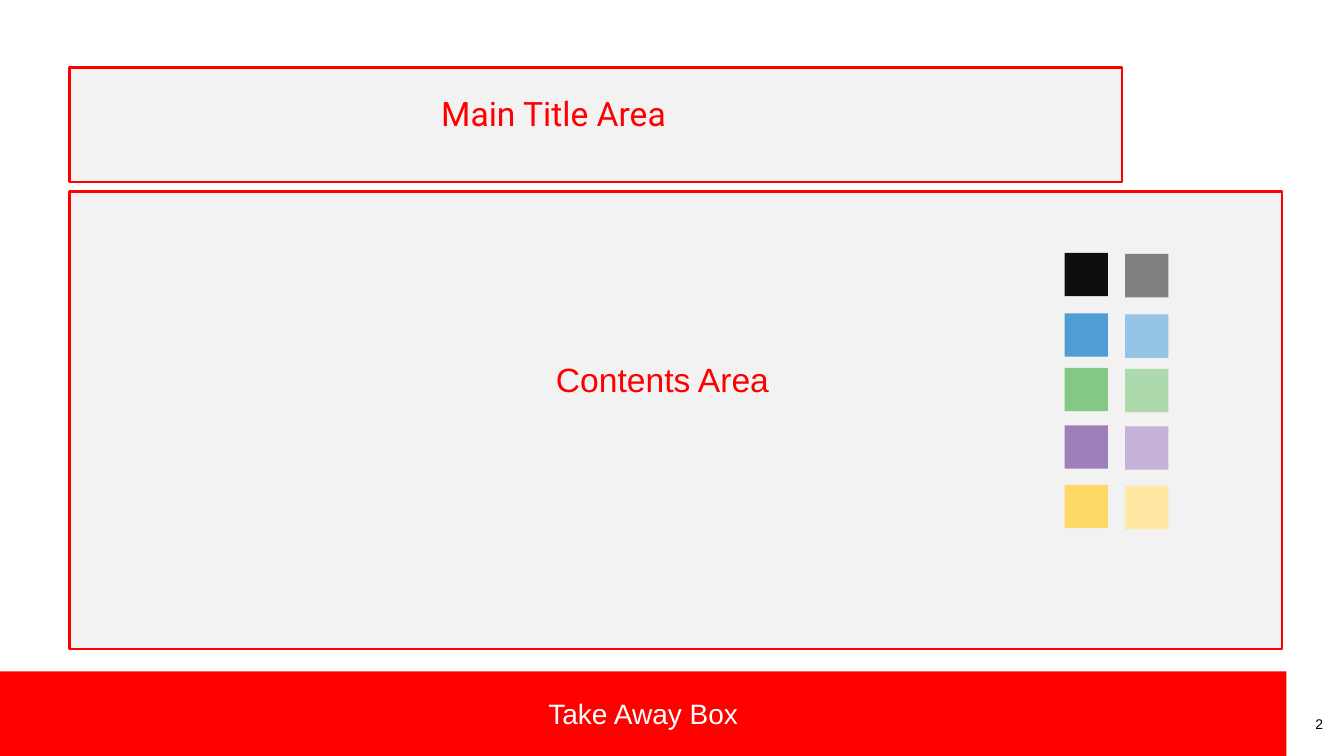
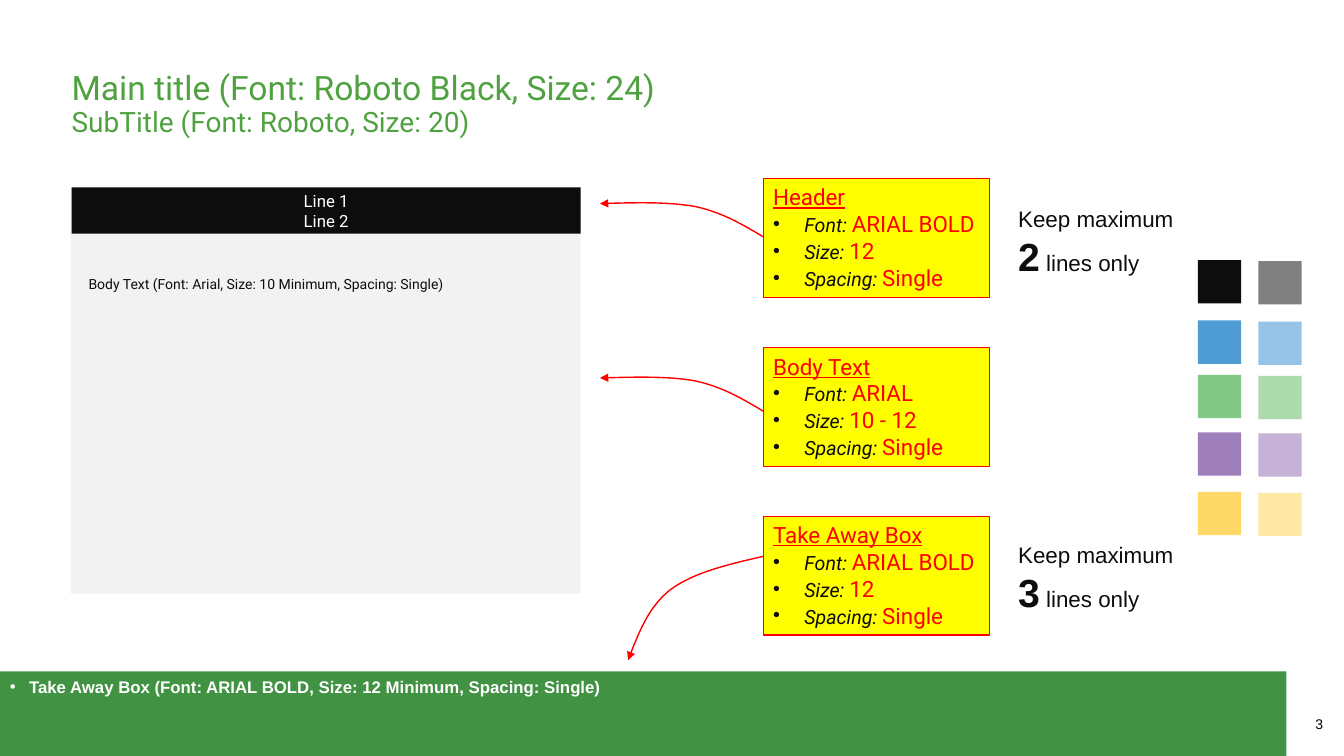
from lxml import etree
from pptx import Presentation
from pptx.dml.color import RGBColor
from pptx.enum import shapes, text
from pptx.oxml import ns
from pptx.util import Inches, Pt

# Shared colours and fonts
RED = RGBColor(0xFF, 0x00, 0x00)
YELLOW = RGBColor(0xFF, 0xFF, 0x00)
WHITE = RGBColor(0xFF, 0xFF, 0xFF)
BLACK = RGBColor(0x00, 0x00, 0x00)
INK = RGBColor(0x0D, 0x0D, 0x0D)
PANEL = RGBColor(0xF2, 0xF2, 0xF2)
TITLE_GREEN = RGBColor(0x50, 0xA2, 0x41)
BAND_GREEN = RGBColor(0x41, 0x92, 0x43)
ARIAL, ROBOTO = "Arial", "Roboto"
LEFT, CENTER, RIGHT = text.PP_ALIGN.LEFT, text.PP_ALIGN.CENTER, text.PP_ALIGN.RIGHT
TOP, MIDDLE = text.MSO_ANCHOR.TOP, text.MSO_ANCHOR.MIDDLE
DEFAULT_INSETS, TITLE_INSETS = (0.1, 0.05, 0.1, 0.05), (0, 0, 0.1, 0)

# Palette: row offset from the top, dark swatch, light swatch
PALETTE = [
    (0, "0D0D0D", "808080"),
    (0.6, "509CD5", "96C4E6"),
    (1.14, "83C885", "ACDAAD"),
    (1.71, "9F7FBA", "C5B2D6"),
    (2.3, "FFD967", "FFE8A4"),
]
SWATCH, SWATCH_STEP = 0.43, 0.6

# Style rules: top of the callout, heading, font, size, spacing
CALLOUTS = [
    (1.77, "Header", "ARIAL BOLD", "12", "Single"),
    (3.45, "Body Text", "ARIAL", "10 - 12", "Single"),
    (5.12, "Take Away Box", "ARIAL BOLD", "12", "Single"),
]
CALLOUT_LEFT, CALLOUT_WIDTH, CALLOUT_HEIGHT = 7.57, 2.24, 1.18
LIMITS = [(1.99, "2"), (5.32, "3")]

# Arrow curves: start point, then Bezier pieces relative to it
SIDE_CURVE = [
    [(-0.2, -0.12), (-0.4, -0.24), (-0.67, -0.3)],
    [(-0.94, -0.35), (-1.28, -0.34), (-1.62, -0.33)],
]
DOWN_CURVE = [
    [(-0.35, 0.08), (-0.69, 0.16), (-0.92, 0.33)],
    [(-1.14, 0.5), (-1.24, 0.77), (-1.34, 1.03)],
]
ARROWS = [(2.35, SIDE_CURVE), (4.08, SIDE_CURVE), (5.52, DOWN_CURVE)]
CURVE_STEPS = 16


def run(words, size, font, color, bold=False, italic=False, underline=False):
    return words, size, font, color, bold, italic, underline


def add_runs(paragraph, runs):
    for words, size, font, color, bold, italic, underline in runs:
        if words == "\n":
            paragraph.add_line_break()
            continue
        part = paragraph.add_run()
        part.text = words
        part.font.size, part.font.name = Pt(size), font
        part.font.color.rgb = color
        part.font.bold, part.font.italic, part.font.underline = bold, italic, underline


def add_bullet(paragraph, indent):
    props = paragraph._p.get_or_add_pPr()
    props.set("marL", str(Inches(indent)))
    props.set("indent", str(-Inches(indent)))
    etree.SubElement(props, ns.qn("a:buFont")).set("typeface", ARIAL)
    etree.SubElement(props, ns.qn("a:buChar")).set("char", "•")


def write(shape, paragraphs, align=LEFT, anchor=TOP, insets=DEFAULT_INSETS,
          spacing=None):
    """Each paragraph is a bullet indent (0 for none) and its runs."""
    frame = shape.text_frame
    frame.word_wrap = True
    frame.auto_size = text.MSO_AUTO_SIZE.NONE
    frame.vertical_anchor = anchor
    (frame.margin_left, frame.margin_top,
     frame.margin_right, frame.margin_bottom) = map(Inches, insets)
    for number, (indent, runs) in enumerate(paragraphs):
        paragraph = frame.add_paragraph() if number else frame.paragraphs[0]
        paragraph.alignment = align
        if spacing:
            paragraph.line_spacing = spacing
        if indent:
            add_bullet(paragraph, indent)
        add_runs(paragraph, runs)


def add_box(holder, at, fill, line=None, width=1.5):
    box = holder.shapes.add_shape(shapes.MSO_SHAPE.RECTANGLE, *map(Inches, at))
    box.shadow.inherit = False
    box.fill.solid()
    box.fill.fore_color.rgb = fill
    if line is None:
        box.line.fill.background()
    else:
        box.line.color.rgb, box.line.width = line, Pt(width)
    return box


def add_label(slide, at, paragraphs, **style):
    write(slide.shapes.add_textbox(*map(Inches, at)), paragraphs, **style)


def set_title(slide, at, runs, align=LEFT):
    title = slide.shapes.title
    title.left, title.top, title.width, title.height = map(Inches, at)
    write(title, [(0, runs)], align, insets=TITLE_INSETS, spacing=0.9)
    title.element.getparent().append(title.element)  # bring in front of the panels


def add_footer(slide, number, color, paragraph, align, anchor):
    band = add_box(slide, (0, 6.66, 12.76, 0.84), color)
    write(band, [paragraph], align, anchor)
    add_label(slide, (12.83, 7.05, 0.39, 0.29),
              [(0, [run(number, 10, ARIAL, BLACK)])], align=RIGHT)


def add_palette(slide, left, top):
    group = slide.shapes.add_group_shape()
    for offset, *pair in PALETTE:
        for column, color in enumerate(pair):
            add_box(group, (left + column * SWATCH_STEP, top + offset + column * 0.01,
                            SWATCH, SWATCH), RGBColor.from_string(color))


def curve_points(pieces):
    start = (0, 0)
    for a, b, end in pieces:
        for step in range(1, CURVE_STEPS + 1):
            t = step / CURVE_STEPS
            s = 1 - t
            yield tuple(s**3 * p + 3 * s * s * t * q + 3 * s * t * t * r + t**3 * e
                        for p, q, r, e in zip(start, a, b, end))
        start = end


def add_arrow(slide, x, y, pieces):
    path = slide.shapes.build_freeform(Inches(x), Inches(y))
    path.add_line_segments([(Inches(x + dx), Inches(y + dy))
                            for dx, dy in curve_points(pieces)], close=False)
    arrow = path.convert_to_shape()
    arrow.shadow.inherit = False
    arrow.fill.background()
    arrow.line.color.rgb, arrow.line.width = RED, Pt(1)
    etree.SubElement(arrow.line._get_or_add_ln(), ns.qn("a:tailEnd")).set("type", "triangle")


def add_callout(slide, top, heading, *values):
    paragraphs = [(0, [run(heading, 16, ROBOTO, RED, underline=True)])]
    for name, value in zip(("Font: ", "Size: ", "Spacing: "), values):
        paragraphs.append((0.31, [run(name, 14, ROBOTO, INK, italic=True),
                                  run(value, 16, ROBOTO, RED)]))
    box = add_box(slide, (CALLOUT_LEFT, top, CALLOUT_WIDTH, CALLOUT_HEIGHT),
                  YELLOW, RED, 0.75)
    write(box, paragraphs)


def build_areas(slide):
    add_footer(slide, "2", RED, (0, [run("Take Away Box", 20, ARIAL, WHITE)]),
               CENTER, MIDDLE)
    add_box(slide, (0.69, 0.67, 10.44, 1.14), PANEL, RED)
    add_box(slide, (0.69, 1.9, 12.03, 4.54), PANEL, RED)
    set_title(slide, (3.58, 0.97, 3.92, 0.43),
              [run("Main Title Area", 24, ROBOTO, RED)], CENTER)
    add_label(slide, (2.04, 3.61, 9.16, 0.43),
              [(0, [run("Contents Area", 24, ARIAL, RED)])],
              align=CENTER, insets=TITLE_INSETS, spacing=0.9)
    add_palette(slide, 10.56, 2.51)


def build_rules(slide):
    # Sample page
    add_box(slide, (0.7, 1.86, 5.06, 4.03), PANEL)
    set_title(slide, (0.71, 0.71, 10.5, 1.11), [
        run("Main title (Font: Roboto Black, Size: 24)", 24, ROBOTO, TITLE_GREEN),
        run("\n", 24, ROBOTO, TITLE_GREEN),
        run("SubTitle (Font: Roboto, Size: 20)", 20, ROBOTO, TITLE_GREEN)])
    take_away = "Take Away Box (Font: ARIAL BOLD, Size: 12 Minimum, Spacing: Single)"
    add_footer(slide, "3", BAND_GREEN,
               (0.19, [run(take_away, 12, ARIAL, WHITE, bold=True)]), LEFT, TOP)
    header = add_box(slide, (0.71, 1.86, 5.05, 0.46), INK)
    write(header, [(0, [run(line, 12, ROBOTO, WHITE)]) for line in ("Line 1", "Line 2")],
          CENTER, MIDDLE)
    body = "Body Text (Font: Arial, Size: 10 Minimum, Spacing: Single)"
    add_label(slide, (0.78, 2.68, 4.89, 0.27), [(0, [run(body, 10, ROBOTO, INK)])])

    # Rules and the parts they point to
    for callout in CALLOUTS:
        add_callout(slide, *callout)
    for y, pieces in ARROWS:
        add_arrow(slide, CALLOUT_LEFT, y, pieces)
    for top, count in LIMITS:
        add_label(slide, (10, top, 1.95, 0.84), [
            (0, [run("Keep maximum", 16, ARIAL, INK)]),
            (0, [run(count, 28, ARIAL, INK, bold=True),
                 run(" lines only", 16, ARIAL, INK)])])
    add_palette(slide, 11.88, 2.58)


def main():
    deck = Presentation()
    deck.slide_width, deck.slide_height = Inches(13.33), Inches(7.5)
    for build in (build_areas, build_rules):
        build(deck.slides.add_slide(deck.slide_layouts[5]))
    deck.save("out.pptx")


if __name__ == "__main__":
    main()
